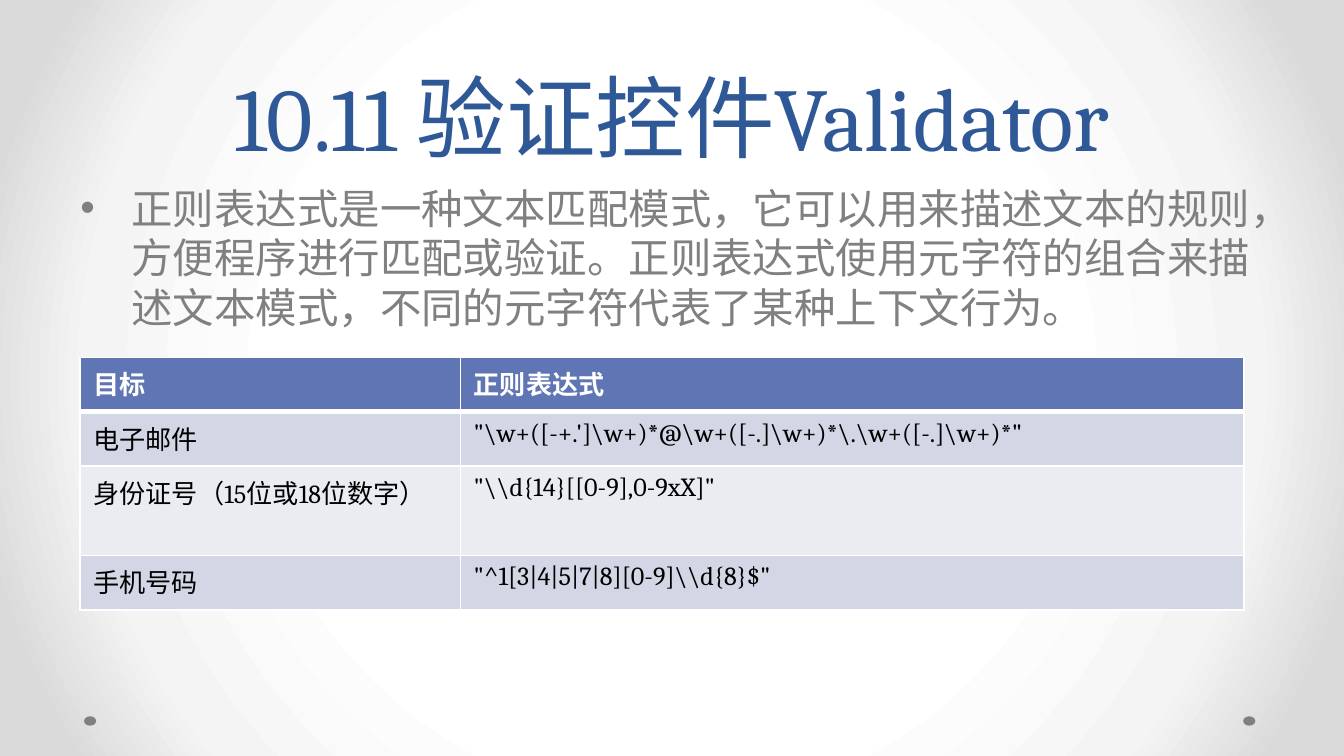
from dataclasses import dataclass
from typing import Any

from lxml import etree
from pptx import Presentation
from pptx import util as u
from pptx.dml.color import RGBColor
from pptx.enum import shapes, text
from pptx.oxml import parse_xml
from pptx.oxml.ns import nsdecls, qn

PX = 4572
WIDTH, HEIGHT = 2000, 1125
GREY, BLUE, WHITE, BLACK = "808080", "2F5897", "FFFFFF", "000000"
HEADER, DARK_BAND, LIGHT_BAND = "6076B4", "D2D6E5", "EAECF2"
BACKDROP_STOPS = [(50, "FFFFFF"), (76, "F4F4F4"), (92, "DADADA")]


@dataclass
class Frame:
    """Place of an object in px."""
    left: int
    top: int
    width: int
    height: int

    def emu(self) -> list[int]:
        """Return the place as python-pptx lengths."""
        return [px(n) for n in (self.left, self.top, self.width, self.height)]


@dataclass
class Style:
    """Look of a text."""
    name: str
    size: float
    colour: str
    bold: bool = False


@dataclass
class Row:
    """One table row with its band."""
    words: tuple[str, str]
    fill: str
    style: Style
    rule: int = 1
    height: int = 81


TITLE = Style("Cambria", 48, BLUE)
BODY = Style("Quicksand", 22.2, GREY)
HEAD = Style("Cambria", 14, WHITE, True)
CELL = Style("Cambria", 14, BLACK)

DOTS = [Frame(left, 1066, 18, 14) for left in (1850, 125)]
COLUMNS = (566, 1166)
ROWS = [
    Row(("目标", "正则表达式"), HEADER, HEAD, rule=3),
    Row(("电子邮件", r'''"\w+([-+.']\w+)*@\w+([-.]\w+)*\.\w+([-.]\w+)*"'''),
        DARK_BAND, CELL),
    Row(("身份证号（15位或18位数字）", r'"\\d{14}[[0-9],0-9xX]"'),
        LIGHT_BAND, CELL, height=133),
    Row(("手机号码", r'"^1[3|4|5|7|8][0-9]\\d{8}$"'), DARK_BAND, CELL),
]


def px(count: int) -> int:
    """Turn px into EMU."""
    return u.Emu(count * PX)


def colour(value: str) -> RGBColor:
    """Turn a hex string into a colour."""
    return RGBColor.from_string(value)


def apply(target: Any, values: dict[str, Any]) -> None:
    """Set attributes from a dict."""
    for key, value in values.items():
        setattr(target, key, value)


def write(para: Any, words: str, style: Style) -> None:
    """Add a styled span to a paragraph."""
    span = para.add_run()
    span.text = words
    apply(span.font, {"name": style.name, "size": u.Pt(style.size), "bold": style.bold})
    span.font.color.rgb = colour(style.colour)


def add_backdrop(page: Any) -> None:
    """Give the page a round gradient."""
    stops = "".join(f'<a:gs pos="{at * 1000}"><a:srgbClr val="{tone}"/></a:gs>'
                    for at, tone in BACKDROP_STOPS)
    backdrop = parse_xml(
        f'<p:bg {nsdecls("p", "a")}><p:bgPr><a:gradFill rotWithShape="1">'
        f'<a:gsLst>{stops}</a:gsLst><a:path path="circle">'
        '<a:fillToRect l="50000" t="50000" r="50000" b="50000"/></a:path>'
        '</a:gradFill><a:effectLst/></p:bgPr></p:bg>')
    page.element.cSld.insert(0, backdrop)


def add_dot(page: Any, frame: Frame) -> None:
    """Draw a small grey dot."""
    dot = page.shapes.add_shape(shapes.MSO_SHAPE.OVAL, *frame.emu())
    dot.shadow.inherit = False
    dot.fill.solid()
    dot.fill.fore_color.rgb = colour(GREY)
    dot.line.fill.background()


def add_text(page: Any, frame: Frame, words: str, style: Style,
             anchor: Any, layout: dict[str, Any]) -> Any:
    """Add a wrapped text box and return its paragraph."""
    box = page.shapes.add_textbox(*frame.emu())
    apply(box.text_frame, {"word_wrap": True, "vertical_anchor": anchor})
    para = box.text_frame.paragraphs[0]
    apply(para, layout)
    write(para, words, style)
    return para


def add_bullet(para: Any, indent: int) -> None:
    """Give a paragraph a hanging bullet."""
    props = para._p.get_or_add_pPr()
    props.set("marL", str(px(indent)))
    props.set("indent", str(-px(indent)))
    etree.SubElement(props, qn("a:buFont")).set("typeface", "Arial")
    etree.SubElement(props, qn("a:buChar")).set("char", "•")


def add_border(cell: Any, side: str, points: int) -> None:
    """Draw one white cell border."""
    line = etree.SubElement(cell._tc.get_or_add_tcPr(), qn(f"a:ln{side}"))
    line.set("w", str(u.Pt(points)))
    fill = etree.SubElement(line, qn("a:solidFill"))
    etree.SubElement(fill, qn("a:srgbClr")).set("val", WHITE)


def add_grid(page: Any, left: int, top: int) -> None:
    """Add the table of expressions."""
    frame = Frame(left, top, sum(COLUMNS), sum(row.height for row in ROWS))
    table = page.shapes.add_table(len(ROWS), len(COLUMNS), *frame.emu()).table
    apply(table, {"first_row": False, "horz_banding": False})
    for column, width in zip(table.columns, COLUMNS):
        column.width = px(width)
    above = 1
    for line, row in zip(table.rows, ROWS):
        line.height = px(row.height)
        for cell, words in zip(line.cells, row.words):
            for side, points in zip("LRTB", (1, 1, above, row.rule)):
                add_border(cell, side, points)
            cell.fill.solid()
            cell.fill.fore_color.rgb = colour(row.fill)
            write(cell.text_frame.paragraphs[0], words, row.style)
        above = row.rule


def main() -> None:
    """Build the slide and save it."""
    deck = Presentation()
    apply(deck, {"slide_width": px(WIDTH), "slide_height": px(HEIGHT)})
    page = deck.slides.add_slide(deck.slide_layouts[6])
    add_backdrop(page)
    for dot in DOTS:
        add_dot(page, dot)
    add_text(page, Frame(100, 0, 1800, 262), "10.11 验证控件Validator", TITLE,
             text.MSO_ANCHOR.BOTTOM,
             {"alignment": text.PP_ALIGN.CENTER, "line_spacing": u.Pt(58)})
    para = add_text(
        page, Frame(100, 262, 1800, 268),
        "正则表达式是一种文本匹配模式，它可以用来描述文本的规则，方便程序进行匹配或验证。"
        "正则表达式使用元字符的组合来描述文本模式，不同的元字符代表了某种上下文行为。",
        BODY, text.MSO_ANCHOR.TOP, {"line_spacing": 1.0, "space_before": u.Pt(4)})
    add_bullet(para, 76)
    add_grid(page, 119, 532)
    deck.save("out.pptx")


if __name__ == "__main__":
    main()
